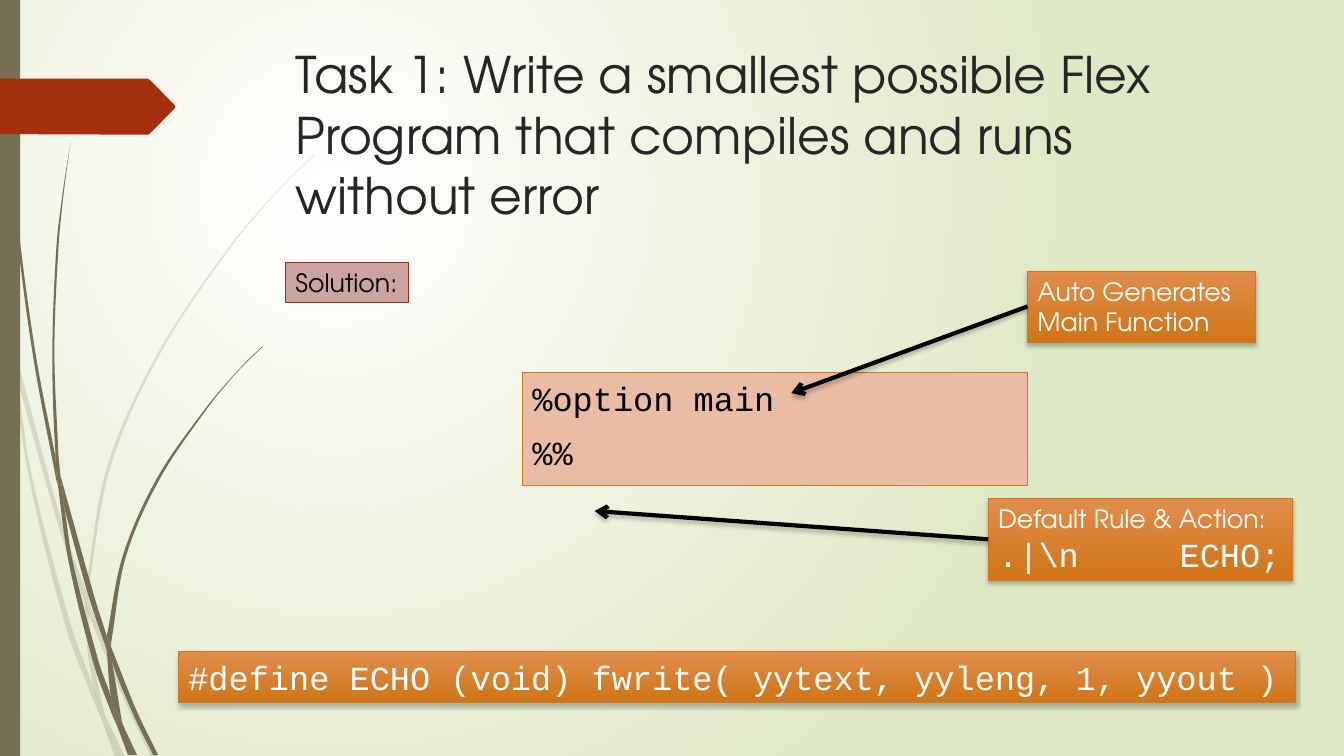
from math import dist
from pptx import Presentation
from pptx.dml.color import RGBColor
from pptx.enum.shapes import MSO_CONNECTOR as Connector, MSO_SHAPE as Preset
from pptx.enum.text import MSO_ANCHOR as Anchor, PP_ALIGN as Align
from pptx.oxml.ns import qn
from pptx.util import Pt
from lxml.etree import SubElement

SANS, MONO = "TeX Gyre Adventor", "Courier New"
OLIVE, RED, BLACK, WHITE = "766F54", "A53010", "000000", "FFFFFF"
ORANGE = ("E18D4C", "CF7516")

TITLE = "Task 1: Write a smallest possible Flex Program that compiles and runs without error"
TEXT_BOXES = [
    dict(at=(204, 27.4, 702, 149), lines=[(TITLE, 36, SANS)], color="262626"),
    dict(at=(373.2, 266.4, 360.8, 80.6), lines=[("%option main", 24, MONO), ("%%", 24, MONO)],
         color=BLACK, fill="EBBCA4", line="D47817", gap=10),
    dict(at=(734, 193.7, 163, 51), lines=[("Auto Generates Main Function", 18, SANS)],
         color=WHITE, fill=ORANGE, line="D47817"),
    dict(at=(705.9, 356.2, 217.4, 58.3),
         lines=[("Default Rule & Action:", 18, SANS), (".|\\n\tECHO;", 24, MONO)],
         color=WHITE, fill=ORANGE, line="D47817", tab=129.6),
    dict(at=(127.4, 465.5, 798.2, 36.4),
         lines=[("#define ECHO (void) fwrite( yytext, yyleng, 1, yyout )", 24, MONO)],
         color=WHITE, fill=ORANGE, line="D47817", wrap=False),
    dict(at=(204, 187.2, 88, 29), lines=[("Solution:", 18, SANS)],
         color=BLACK, fill="CBA3A0", line="9E2E0F", wrap=False),
]
ARROWS = [(734, 218.9, 565.2, 280.8), (705.9, 385.2, 424.8, 365)]

PALE_GRASS = [
    ([(7.9, 252), (6.5, 231.8), (0, 203)], [(0, 215.3), (7.2, 247.7), (7.9, 252)]),
    ([(12.2, 270.7), (41.8, 375.8), (60.5, 431.3)],
     [(61.2, 421.9), (44.6, 374.4), (10.1, 248.4)]),
    ([(63.4, 439.2), (88.6, 499.7), (108, 540.7)],
     [(111.6, 540.7), (91.4, 498.2), (66.2, 437), (63.4, 429.1)]),
    ([(75.6, 511.9), (85.7, 540.7)], [(89.3, 540.7), (75.6, 511.9)]),
    ([(7.9, 252), (20.2, 338.4), (46.8, 447.1), (66.2, 499), (72.7, 514.1)],
     [(71.3, 509), (67, 491.8), (50.4, 445.7), (22.3, 337.7), (12.2, 270.7), (7.9, 252)]),
    ([(60.5, 431.3), (62.6, 465.1), (67, 491.8), (69.1, 498.2), (75.6, 511.9)],
     [(74.2, 508.3), (65.5, 465.1), (63.4, 439.2), (63.4, 437.8), (60.5, 431.3)]),
    ([(61.2, 421.9), (61.2, 420.5), (77, 331.9), (113.8, 250.6), (164.2, 175.7),
      (193, 141.8), (208.1, 126), (224.6, 110.2)],
     [(224.6, 110.9), (208.8, 126), (193, 142.6), (164.9, 176.4), (115.2, 251.3),
      (79.2, 332.6), (63.4, 420.5), (63.4, 429.1)]),
    ([(72.7, 514.1), (82.1, 540.7)], [(85.7, 540.7), (72.7, 514.1)]),
    ([(61.2, 421.9), (60.5, 431.3)], [(63.4, 439.2), (63.4, 429.1)]),
    ([(67, 491.8), (71.3, 509), (72.7, 514.1), (85.7, 540.7)],
     [(75.6, 511.9), (69.1, 498.2), (67, 491.8)]),
]
DARK_GRASS = [
    ([(2.2, 0), (2.9, 34.6), (5, 79.2), (12.2, 167.8), (23.8, 255.6), (40.3, 343.4),
      (41, 346.3)],
     [(39.6, 326.2), (25.9, 255.6), (13.7, 167), (5.8, 78.5), (3.6, 34.6), (2.9, 0)]),
    ([(46.1, 363.6), (63.4, 426.2), (76.3, 464.4)],
     [(76.3, 454.3), (67, 424.8), (43.2, 339.8)]),
    ([(79.2, 461.5), (79.9, 472.3), (95, 509.8), (109.4, 539.3)],
     [(113, 539.3), (97.9, 508.3), (81.4, 467.3), (79.2, 461.5)]),
    ([(41, 343.4), (49, 401), (67, 474.5), (79.9, 509.8), (84.2, 519.8)],
     [(83.5, 516.2), (79.2, 497.5), (70.6, 473), (51.8, 400.3), (46.1, 363.6), (41, 343.4)]),
    ([(50.4, 101.5), (44.6, 139), (40.3, 176.4), (37.4, 251.3), (39.6, 323.3), (43.2, 339.8)],
     [(41.8, 326.2), (38.9, 251.3), (41.8, 176.4), (45.4, 139), (50.4, 101.5)]),
    ([(87.8, 517.7), (95.8, 539.3)], [(97.9, 539.3), (87.8, 517.7)]),
    ([(39.6, 323.3), (39.6, 326.2), (41, 343.4), (46.1, 363.6)],
     [(43.2, 339.8), (39.6, 323.3)]),
    ([(76.3, 454.3), (87.8, 396.7), (112.3, 341.3), (146.9, 291.6), (166.3, 268.6),
      (176.4, 257.8), (187.2, 247.7)],
     [(187.9, 247.7), (176.4, 258.5), (166.3, 269.3), (147.6, 292.3), (113.8, 342.7),
      (90, 397.4), (79.9, 455.8), (79.2, 461.5)]),
    ([(84.2, 519.8), (91.4, 539.3)], [(94.3, 539.3), (84.2, 519.8)]),
    ([(76.3, 464.4), (79.2, 497.5), (83.5, 508.3), (87.8, 517.7)],
     [(87.1, 515.5), (79.9, 472.3), (78.5, 468.7), (76.3, 464.4)]),
    ([(76.3, 454.3), (76.3, 464.4)], [(79.9, 472.3), (79.2, 461.5)]),
    ([(79.2, 497.5), (83.5, 516.2), (84.2, 519.8), (93.6, 539.3)],
     [(95.8, 539.3), (87.8, 517.7), (83.5, 508.3), (79.2, 497.5)]),
]
TAG = [(0, 56.2), (105.5, 56.2), (107, 57), (124.6, 74.9), (125.2, 76.2), (124.6, 77.6),
       (107, 95.5), (105.5, 96.2), (0, 95.8)]


def rgb(color):
    return RGBColor.from_string(color)


def set_gradient(fill, colors):
    fill.gradient()
    for stop, color, position in zip(fill.gradient_stops, colors, (0, 1)):
        stop.color.rgb = rgb(color)
        stop.position = position


def paint(shape, fill=None, line=None):
    shape.shadow.inherit = False
    if fill is None:
        shape.fill.background()
    elif isinstance(fill, tuple):
        set_gradient(shape.fill, fill)
        shape.fill.gradient_angle = 270
    else:
        shape.fill.solid()
        shape.fill.fore_color.rgb = rgb(fill)
    if line:
        shape.line.color.rgb = rgb(line)
        shape.line.width = Pt(0.75)
    else:
        shape.line.fill.background()


def add_shadow(effects):
    shadow = SubElement(effects, qn("a:outerShdw"), blurRad=str(Pt(3)), dist=str(Pt(2)),
                        dir="5400000", algn="ctr", rotWithShape="0")
    color = SubElement(shadow, qn("a:srgbClr"), val=BLACK)
    SubElement(color, qn("a:alpha"), val="25000")


def add_outline(shapes, points, color):
    builder = shapes.build_freeform(Pt(points[0][0]), Pt(points[0][1]))
    builder.add_line_segments([(Pt(x), Pt(y)) for x, y in points[1:]], close=True)
    outline = builder.convert_to_shape()
    paint(outline, color)
    return outline


def handle(knot, before, after, reach):
    scale = reach / 3 / dist(before, after)
    return tuple(k + (a - b) * scale for k, b, a in zip(knot, before, after))


def curve(knots):
    padded = [knots[0], *knots, knots[-1]]
    points = []
    for before, start, end, after in zip(padded, padded[1:], padded[2:], padded[3:]):
        reach = dist(start, end)
        points += [handle(start, before, end, reach), handle(end, after, start, reach), end]
    return points


def add_blade(shapes, side, other_side, opacity):
    points = [side[0], *curve(side)]
    if side[-1] != other_side[0]:
        points += curve([side[-1], other_side[0]])
    blade = add_outline(shapes, points + curve(other_side), OLIVE)
    corners = list(blade._element.iter(qn("a:lnTo")))
    for first, second, third in zip(corners[::3], corners[1::3], corners[2::3]):
        first.tag = qn("a:cubicBezTo")
        for corner in (second, third):
            first.append(corner[0])
            corner.getparent().remove(corner)
    if opacity < 100:
        fill_color = blade.fill._xPr.find(qn("a:solidFill"))[0]
        SubElement(fill_color, qn("a:alpha"), val=str(opacity * 1000))


def add_box(at, lines, color, fill=None, line=None, gap=0, tab=None, wrap=True):
    box = slide.shapes.add_shape(Preset.RECTANGLE, *map(Pt, at))
    paint(box, fill, line)
    if isinstance(fill, tuple):
        add_shadow(box._element.spPr.find(qn("a:effectLst")))
    frame = box.text_frame
    frame.word_wrap = wrap
    frame.vertical_anchor = Anchor.TOP
    frame.text = "\n".join(words for words, size, font in lines)
    for para, (words, size, font) in zip(frame.paragraphs, lines):
        para.alignment = Align.LEFT
        para.space_before = Pt(gap)
        if tab and "\t" in words:
            stops = SubElement(para._p.get_or_add_pPr(), qn("a:tabLst"))
            SubElement(stops, qn("a:tab"), pos=str(Pt(tab)), algn="l")
        for span in para.runs:
            span.font.size, span.font.name = Pt(size), font
            span.font.color.rgb = rgb(color)


def add_arrow(ends):
    arrow = slide.shapes.add_connector(Connector.STRAIGHT, *map(Pt, ends))
    arrow.line.color.rgb = rgb(BLACK)
    arrow.line.width = Pt(3)
    SubElement(arrow.line._get_or_add_ln(), qn("a:tailEnd"), type="arrow")
    add_shadow(SubElement(arrow._element.spPr, qn("a:effectLst")))


deck = Presentation()
deck.slide_width, deck.slide_height = Pt(960), Pt(540)
slide = deck.slides.add_slide(deck.slide_layouts[6])
set_gradient(slide.background.fill, (WHITE, "DFE8C4"))
gradient = slide.background.fill._xPr.find(qn("a:gradFill"))
gradient.remove(gradient.find(qn("a:lin")))
circle = SubElement(gradient, qn("a:path"), path="circle")
SubElement(circle, qn("a:fillToRect"), l="50000", t="50000", r="100000", b="100000")
for grass, opacity in ((PALE_GRASS, 20), (DARK_GRASS, 100)):
    group = slide.shapes.add_group_shape()
    for sides in grass:
        add_blade(group.shapes, *sides, opacity)
paint(slide.shapes.add_shape(Preset.RECTANGLE, 0, 0, Pt(14.4), Pt(540)), OLIVE)
add_outline(slide.shapes, TAG, RED)
for text_box in TEXT_BOXES:
    add_box(**text_box)
for ends in ARROWS:
    add_arrow(ends)
deck.save("out.pptx")
